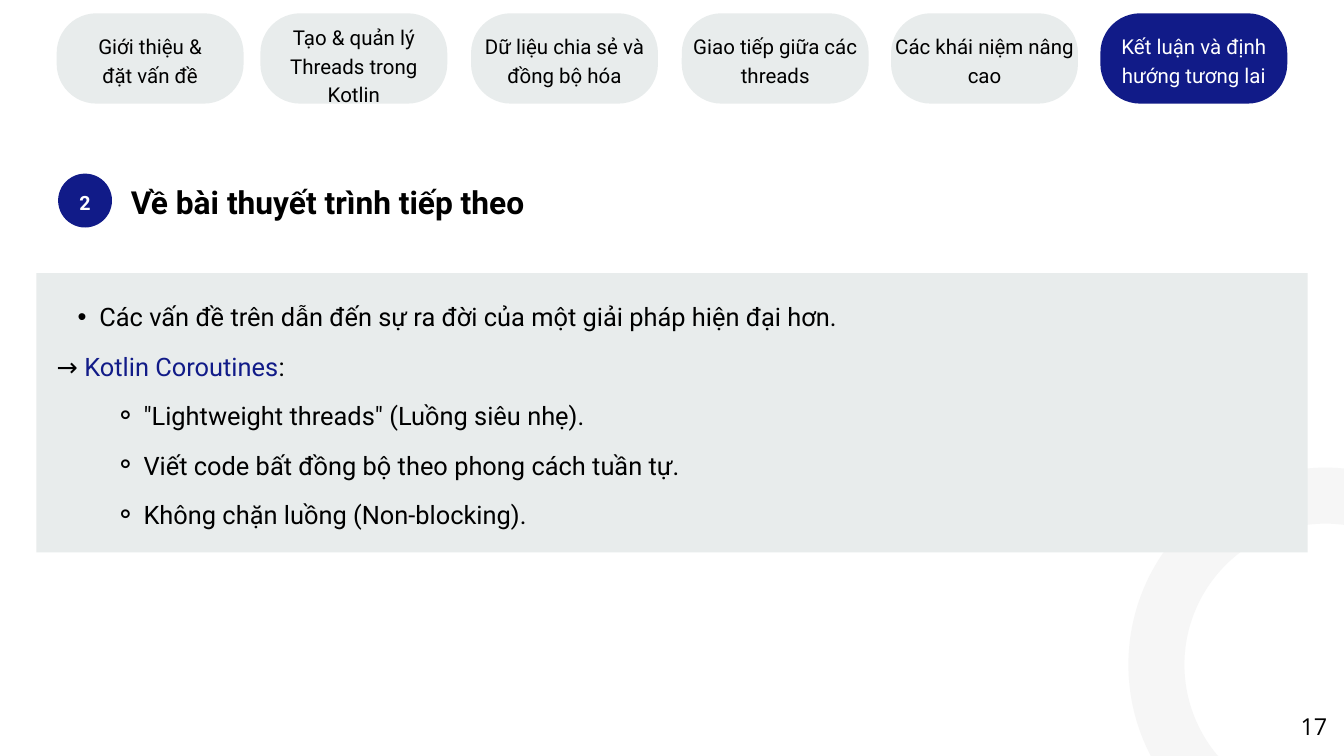
from collections import namedtuple
from dataclasses import dataclass

from lxml import etree
from pptx import Presentation
from pptx import util as u
from pptx.dml.color import RGBColor
from pptx.enum import shapes, text
from pptx.oxml.ns import qn

EMU_PER_PX = 9525
Box = namedtuple("Box", "left top width height")
ALIGN = text.PP_ALIGN
ANCHOR = text.MSO_ANCHOR


@dataclass(frozen=True)
class Theme:
    navy: str = "111B88"
    grey: str = "E8ECEC"
    ring: str = "F6F6F6"
    black: str = "000000"
    white: str = "FFFFFF"
    font: str = "Roboto"
    number_font: str = "Open Sans"
    tab_size: float = 21.9
    badge_size: float = 21
    title_size: float = 34
    body_size: float = 27.2
    page_size: float = 25


THEME = Theme()

TABS = [  # left edge, distance from tab top to text, label lines
    (81, 24, ["Giới thiệu &", "đặt vấn đề"]),
    (372, 11, ["Tạo & quản lý Threads trong Kotlin"]),
    (673, 24, ["Dữ liệu chia sẻ và đồng bộ hóa"]),
    (974, 24, ["Giao tiếp giữa các threads"]),
    (1273, 24, ["Các khái niệm nâng cao"]),
    (1572, 24, ["Kết luận và định hướng tương lai"]),
]
ACTIVE_TAB = 5

BODY = [  # level, runs of (text, colour)
    (1, [("Các vấn đề trên dẫn đến sự ra đời của một giải pháp hiện đại hơn.", THEME.black)]),
    (0, [("→ ", THEME.black), ("Kotlin Coroutines", THEME.navy), (":", THEME.black)]),
    (2, [('"Lightweight threads" (Luồng siêu nhẹ).', THEME.black)]),
    (2, [("Viết code bất đồng bộ theo phong cách tuần tự.", THEME.black)]),
    (2, [("Không chặn luồng (Non-blocking).", THEME.black)]),
]
LEVELS = {0: (0, 0, None), 1: (61, -31, "•"), 2: (124, -41, "⚬")}  # margin, indent, bullet


def px(length):
    return u.Emu(length * EMU_PER_PX)


def rgb(colour):
    return RGBColor.from_string(colour)


def place(shape, box):
    shape.left, shape.top, shape.width, shape.height = map(px, box)


def add_plain_shape(slide, kind, box, fill=None):
    shape = slide.shapes.add_shape(kind, *map(px, box))
    shape.shadow.inherit = False
    shape.line.fill.background()
    if fill:
        shape.fill.solid()
        shape.fill.fore_color.rgb = rgb(fill)
    else:
        shape.fill.background()
    return shape


def prepare_frame(shape, anchor=ANCHOR.TOP):
    frame = shape.text_frame
    frame.word_wrap = True
    frame.auto_size = text.MSO_AUTO_SIZE.NONE
    frame.vertical_anchor = anchor
    frame.margin_left = frame.margin_top = frame.margin_right = frame.margin_bottom = 0
    return frame


def add_run(paragraph, words, *, size, colour=THEME.black, font=THEME.font, bold=False):
    run = paragraph.add_run()
    run.text = words
    run.font.name = font
    run.font.size = u.Pt(size)
    run.font.bold = bold
    run.font.color.rgb = rgb(colour)


def format_paragraph(paragraph, align, spacing):
    paragraph.alignment = align
    paragraph.line_spacing = u.Pt(spacing)
    paragraph.space_before = u.Pt(0)


def write(shape, lines, *, spacing, align=ALIGN.LEFT, anchor=ANCHOR.TOP, **style):
    frame = prepare_frame(shape, anchor)
    for index, line in enumerate(lines):
        paragraph = frame.add_paragraph() if index else frame.paragraphs[0]
        format_paragraph(paragraph, align, spacing)
        add_run(paragraph, line, **style)


def set_bullet(paragraph, level):
    margin, indent, character = LEVELS[level]
    paragraph.level = level
    properties = paragraph._p.get_or_add_pPr()
    properties.set("marL", str(px(margin)))
    properties.set("indent", str(px(indent)))
    if character:
        etree.SubElement(properties, qn("a:buChar")).set("char", character)
    else:
        etree.SubElement(properties, qn("a:buNone"))


def bring_to_front(slide, shape):
    slide.shapes._spTree.append(shape._element)


def draw_corner_ring(slide, box):
    ring = add_plain_shape(slide, shapes.MSO_SHAPE.OVAL, box)
    ring.line.color.rgb = rgb(THEME.ring)
    ring.line.width = u.Pt(60)


def draw_tab(slide, box, text_top, lines, active):
    fill, colour = (THEME.navy, THEME.white) if active else (THEME.grey, THEME.black)
    tab = add_plain_shape(slide, shapes.MSO_SHAPE.ROUNDED_RECTANGLE, box, fill)
    tab.adjustments[0] = 0.44
    label_box = Box(box.left + 5, box.top + text_top, box.width - 10, box.height - 2 * text_top)
    label = slide.shapes.add_textbox(*map(px, label_box))
    write(label, lines, spacing=30.7, align=ALIGN.CENTER, size=THEME.tab_size, colour=colour)


def draw_navigation(slide, box):
    for index, (left, text_top, lines) in enumerate(TABS):
        tab_box = Box(left, box.top, 267, box.height)
        draw_tab(slide, tab_box, text_top, lines, index == ACTIVE_TAB)


def draw_heading(slide, box):
    badge_box = Box(box.left, box.top, box.height, box.height)
    badge = add_plain_shape(slide, shapes.MSO_SHAPE.OVAL, badge_box, THEME.navy)
    write(badge, ["2"], spacing=29.4, align=ALIGN.CENTER, anchor=ANCHOR.MIDDLE,
          size=THEME.badge_size, colour=THEME.white, bold=True)
    title = slide.shapes.title
    place(title, Box(box.left + 104, box.top + 4, box.width - 104, 60))
    write(title, ["Về bài thuyết trình tiếp theo"], spacing=47.6,
          size=THEME.title_size, bold=True)
    bring_to_front(slide, title)


def draw_content(slide, box):
    add_plain_shape(slide, shapes.MSO_SHAPE.RECTANGLE, box, THEME.grey)
    body = slide.placeholders[1]
    place(body, Box(box.left + 29, box.top + 13, box.width - 64, 343))
    frame = prepare_frame(body)
    for index, (level, runs) in enumerate(BODY):
        paragraph = frame.add_paragraph() if index else frame.paragraphs[0]
        set_bullet(paragraph, level)
        format_paragraph(paragraph, ALIGN.JUSTIFY, 53.1)
        for words, colour in runs:
            add_run(paragraph, words, size=THEME.body_size, colour=colour)
    bring_to_front(slide, body)


def draw_page_number(slide, box):
    number = slide.shapes.add_textbox(*map(px, box))
    write(number, ["17"], spacing=38.7, align=ALIGN.JUSTIFY,
          size=THEME.page_size, font=THEME.number_font)


def main():
    presentation = Presentation()
    presentation.slide_width, presentation.slide_height = px(1920), px(1080)
    slide = presentation.slides.add_slide(presentation.slide_layouts[1])
    draw_corner_ring(slide, Box(1652, 708, 483, 483))
    draw_content(slide, Box(52, 390, 1816, 399))
    draw_navigation(slide, Box(81, 19, 1758, 129))
    draw_heading(slide, Box(83, 248, 1582, 77))
    draw_page_number(slide, Box(1858, 1006, 47, 48))
    presentation.save("out.pptx")


if __name__ == "__main__":
    main()
